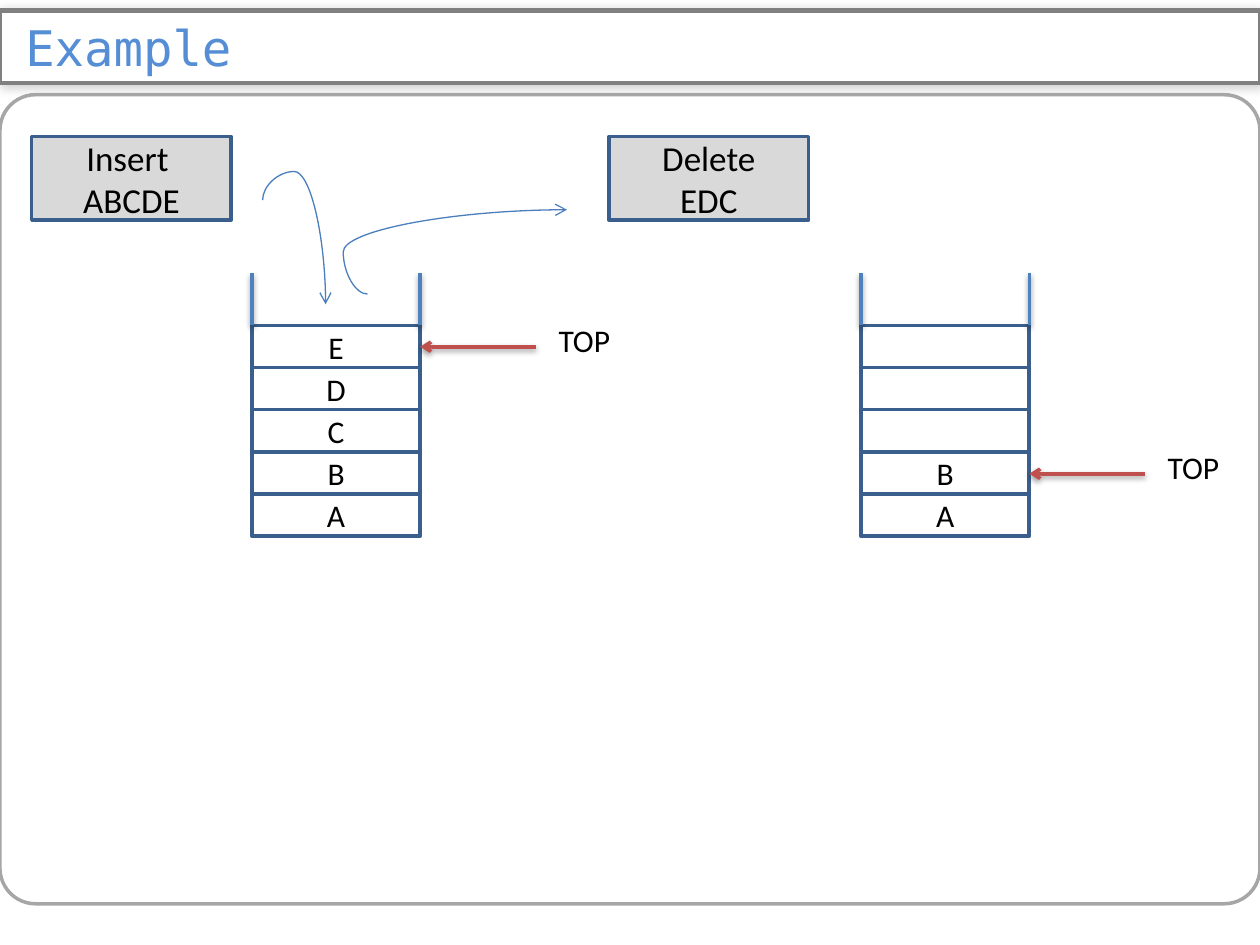
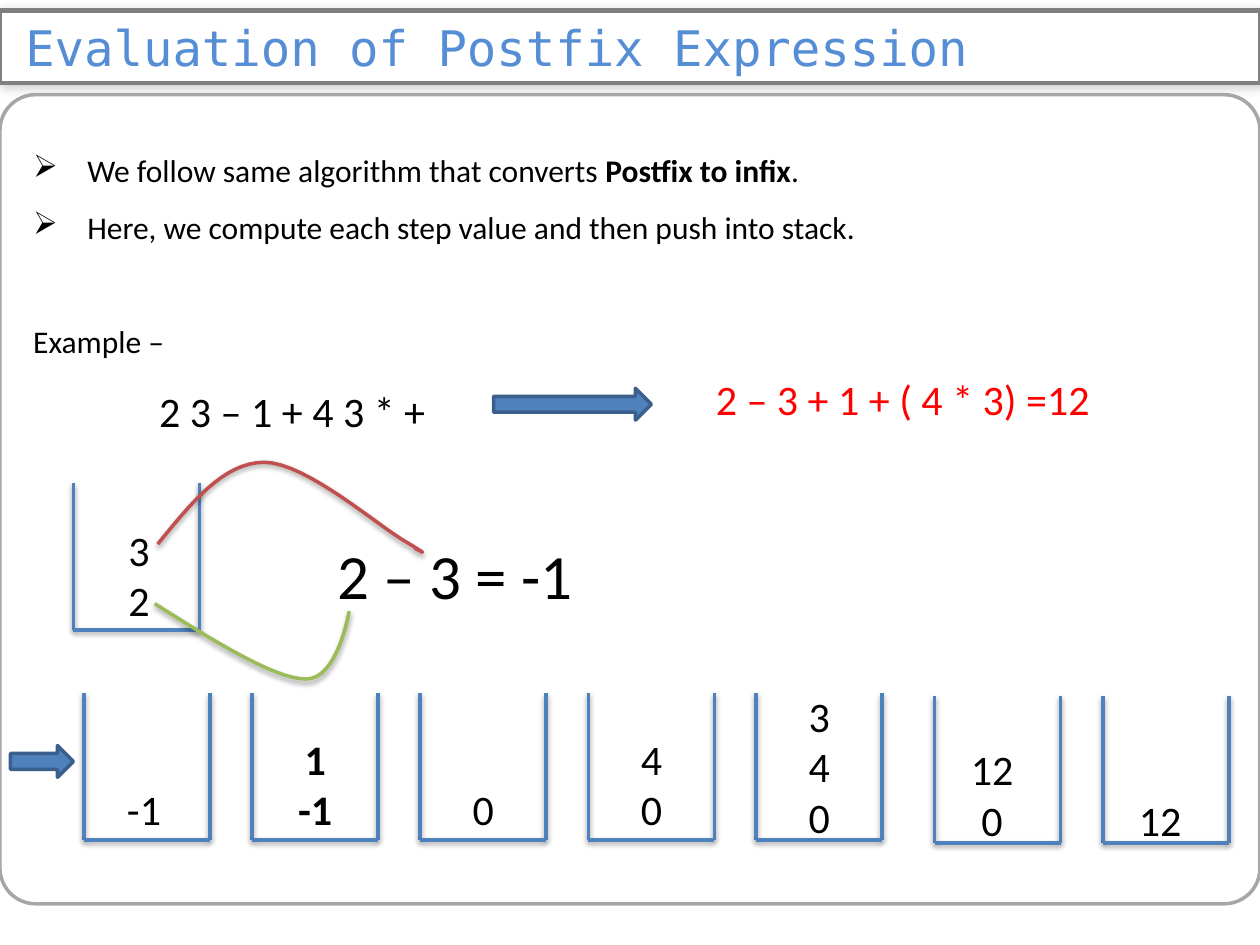
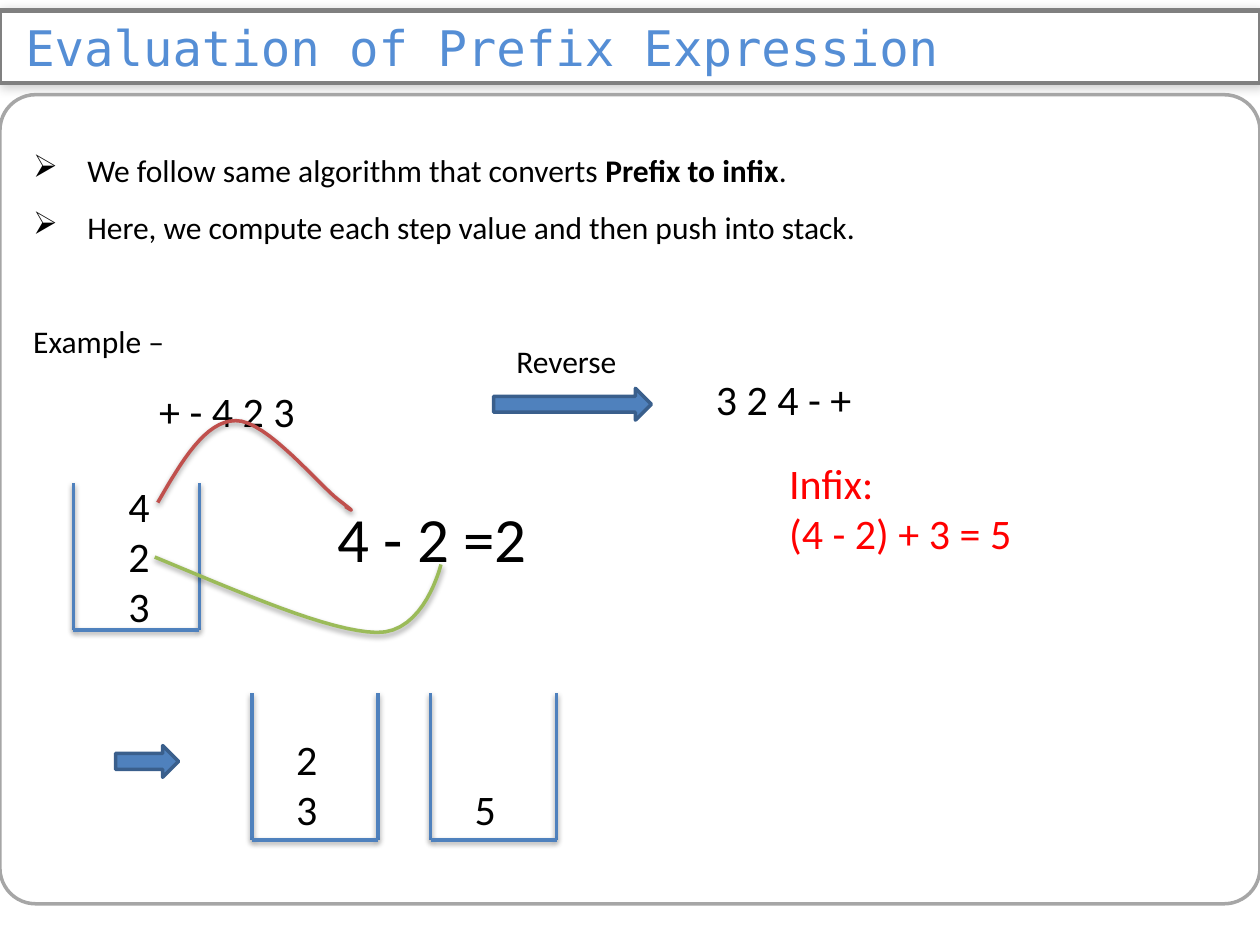
from lxml import etree
from pptx import Presentation
from pptx.dml.color import RGBColor
from pptx.enum import shapes, text
from pptx.oxml import parse_xml
from pptx.oxml.ns import nsdecls, qn
from pptx.util import Cm, Pt

# Shared look
BLACK, WHITE, RED_TEXT = "000000", "FFFFFF", "FF0000"
BLUE, DARK_BLUE, CURVE_BLUE = "4F81BD", "3A5F8C", "4B7EBC"
RED, GREEN, TITLE_BLUE = "C0504D", "9BBB59", "558ED5"
LIGHT_GREY, PANEL_GREY, BAND_GREY = "D9D9D9", "A6A6A6", "808080"
LINE_SHADOW = (38, 3.15, 1.57, 90)  # opacity %, blur pt, distance pt, angle
BAND_SHADOW = (20, 6, 1, 45)
LEFT, CENTER = text.PP_ALIGN.LEFT, text.PP_ALIGN.CENTER
TOP, MIDDLE, BOTTOM = text.MSO_ANCHOR.TOP, text.MSO_ANCHOR.MIDDLE, text.MSO_ANCHOR.BOTTOM
AUTO, CONNECTOR = shapes.MSO_SHAPE, shapes.MSO_CONNECTOR
rgb = RGBColor.from_string


def outline(item, colour, width=2, shadow=None, arrow=False):
    """Give a shape or connector its line, arrowhead and shadow."""
    item.line.color.rgb = rgb(colour)
    item.line.width = Pt(width)
    properties = item.element.spPr
    if arrow:
        etree.SubElement(properties.find(qn("a:ln")), qn("a:tailEnd"), type="arrow")
    effects = etree.SubElement(properties, qn("a:effectLst"))
    if shadow:
        opacity, blur, distance, angle = shadow
        outer = etree.SubElement(
            effects, qn("a:outerShdw"), blurRad=str(Pt(blur)), dist=str(Pt(distance)),
            dir=str(angle * 60000), algn="ctr", rotWithShape="0")
        black = etree.SubElement(outer, qn("a:srgbClr"), val=BLACK)
        etree.SubElement(black, qn("a:alpha"), val=str(opacity * 1000))


def write(slide, box, words, size, colour=BLACK, align=LEFT, anchor=TOP,
          bold=False, framed=False, fill=None):
    """Add a text box, or a framed rectangle, with one paragraph per line."""
    place = [Cm(length) for length in box]
    if framed:
        item = slide.shapes.add_shape(AUTO.RECTANGLE, *place)
        if fill:
            item.fill.solid()
            item.fill.fore_color.rgb = rgb(fill)
        else:
            item.fill.background()
        outline(item, DARK_BLUE)
    else:
        item = slide.shapes.add_textbox(*place)
    frame = item.text_frame
    frame.word_wrap = True
    frame.vertical_anchor = anchor
    frame.text = words
    for paragraph in frame.paragraphs:
        paragraph.alignment = align
        for run in paragraph.runs:
            run.font.name = "Calibri"
            run.font.size = Pt(size)
            run.font.bold = bold
            run.font.color.rgb = rgb(colour)
    return frame


prs = Presentation()
prs.slide_width, prs.slide_height = Cm(25.4), Cm(19.05)

# Title band and content panel on every slide
deck = []
for heading in ("Example", "Evaluation of Postfix Expression",
                "Evaluation of Prefix Expression"):
    slide = prs.slides.add_slide(prs.slide_layouts[5])
    deck.append(slide)
    band = slide.shapes.title
    band.left, band.top, band.width, band.height = Cm(0), Cm(0.21), Cm(25.4), Cm(1.47)
    band.element.spPr.append(parse_xml(
        f'<a:prstGeom {nsdecls("a")} prst="roundRect"><a:avLst>'
        '<a:gd name="adj" fmla="val 40900"/></a:avLst></a:prstGeom>'))
    band.fill.solid()
    band.fill.fore_color.rgb = rgb(WHITE)
    outline(band, BAND_GREY, 2.5, BAND_SHADOW)
    frame = band.text_frame
    frame.text = heading
    frame.auto_size = text.MSO_AUTO_SIZE.NONE
    frame.vertical_anchor = MIDDLE
    frame.margin_left, frame.margin_right = Cm(0.51), Cm(0.25)
    frame.margin_top = frame.margin_bottom = 0
    frame.paragraphs[0].alignment = LEFT
    font = frame.paragraphs[0].runs[0].font
    font.name, font.size = "DejaVu Sans Mono", Pt(28)
    font.color.rgb = rgb(TITLE_BLUE)

    panel = slide.shapes.add_shape(AUTO.ROUNDED_RECTANGLE, Cm(0), Cm(1.91), Cm(25.4), Cm(16.31))
    panel.adjustments[0] = 0.044
    panel.fill.background()
    outline(panel, PANEL_GREY)

# Slide 1: stack before and after deleting
example = deck[0]
for left, operation in ((0.64, "Insert \nABCDE"), (12.28, "Delete\nEDC")):
    write(example, (left, 2.75, 4.02, 1.69), operation, 20, align=CENTER,
          anchor=MIDDLE, framed=True, fill=LIGHT_GREY)

CELL_W, CELL_H, STACK_TOP = 3.39, 0.85, 6.56
for left, letters, pointer_y in ((5.08, "EDCBA", 6.99), (17.36, ["", "", "", "B", "A"], 9.55)):
    right = left + CELL_W
    for row, letter in enumerate(letters):
        write(example, (left, STACK_TOP + row * CELL_H, CELL_W, CELL_H), letter, 18,
              align=CENTER, anchor=MIDDLE, framed=True)
    for x in (left, right):
        wall = example.shapes.add_connector(
            CONNECTOR.STRAIGHT, Cm(x), Cm(STACK_TOP), Cm(x), Cm(5.5))
        outline(wall, BLUE, shadow=LINE_SHADOW)
    pointer = example.shapes.add_connector(
        CONNECTOR.STRAIGHT, Cm(right + 2.33), Cm(pointer_y), Cm(right), Cm(pointer_y))
    outline(pointer, RED, shadow=LINE_SHADOW, arrow=True)
    write(example, (right + 2.54, pointer_y - 0.64, 2.12, 1.02), "TOP", 18)

# Curved arrows into and out of the stack: ends, bend, rotation
for ends, bend, rotation in (((6.98, 4.45, 4.88, 5.72), -27500, 270),
                             ((7.41, 5.93, 11.43, 4.23), -12200, 0)):
    route = example.shapes.add_connector(CONNECTOR.CURVE, *[Cm(end) for end in ends])
    properties = route.element.spPr
    properties.find(qn("a:xfrm")).set("rot", str(rotation * 60000))
    adjust = properties.find(qn("a:prstGeom")).find(qn("a:avLst"))
    etree.SubElement(adjust, qn("a:gd"), name="adj1", fmla=f"val {bend}")
    outline(route, CURVE_BLUE, 0.75, arrow=True)

# Slides 2 and 3: content
# label: left, top, width, height, words, size, colour
# stack: left, top, text offset, text width, text bottom, align, bold, values
evaluations = [
    dict(
        notation="Postfix", expression="2 3 – 1 + 4 3 * +", step_arrow=0.21,
        labels=[
            (14.18, 7.41, 8.47, 1.17, "2 – 3 + 1 + ( 4 * 3) =12", 24, RED_TEXT),
            (6.56, 10.69, 11.43, 1.79, "2 – 3 = -1", 36, BLACK),
        ],
        stacks=[
            (1.48, 9.74, 0.86, 1.07, 12.73, LEFT, False, "3\n2"),
            (1.69, 13.97, 0.62, 1.27, 16.94, LEFT, False, "-1"),
            (5.08, 13.97, 0.64, 1.27, 16.94, CENTER, True, "1\n-1"),
            (8.47, 13.97, 0.64, 1.27, 16.94, CENTER, False, "0"),
            (11.86, 13.97, 0.64, 1.27, 16.94, CENTER, False, "4\n0"),
            (15.24, 13.97, 0.64, 1.27, 17.09, CENTER, False, "3\n4\n0"),
            (18.84, 14.03, 0.42, 1.48, 17.15, CENTER, False, "12\n0"),
            (22.23, 14.03, 0.42, 1.48, 17.15, CENTER, False, "12"),
        ],
        curves=[
            (RED, [(3.18, 10.97), (3.84, 10.16), (4.5, 9.32), (5.33, 9.32),
                   (6.17, 9.32), (7.67, 10.64), (8.18, 10.92),
                   (8.69, 11.23), (8.51, 11.13), (8.36, 11.05)]),
            (GREEN, [(3.12, 12.17), (4.32, 12.93), (5.51, 13.67), (6.15, 13.69),
                     (6.81, 13.72), (7.04, 12.32), (7.04, 12.32)]),
        ]),
    dict(
        notation="Prefix", expression="+ - 4 2 3", step_arrow=2.33,
        labels=[
            (14.18, 7.41, 8.47, 1.17, "3 2 4 - +", 24, BLACK),
            (6.56, 9.95, 11.43, 1.79, "4 - 2 =2", 36, BLACK),
            (10.16, 6.77, 2.54, 1.02, "Reverse", 18, BLACK),
            (15.66, 9.1, 8.47, 2.31, "Infix:\n(4 - 2) + 3 = 5", 24, RED_TEXT),
        ],
        stacks=[
            (1.48, 9.74, 0.86, 1.07, 12.85, LEFT, False, "4\n2\n3"),
            (5.08, 13.97, 0.64, 1.5, 16.94, LEFT, False, "2\n3"),
            (8.68, 13.97, 0.64, 1.5, 16.94, LEFT, False, "5"),
        ],
        curves=[
            (RED, [(3.18, 10.13), (3.66, 9.3), (4.14, 8.48), (4.75, 8.48),
                   (5.36, 8.46), (6.45, 9.8), (6.83, 10.08),
                   (7.19, 10.36), (7.09, 10.29), (6.96, 10.21)]),
            (GREEN, [(3.12, 11.23), (4.88, 11.96), (6.63, 12.73), (7.59, 12.75),
                     (8.56, 12.78), (8.89, 11.38), (8.89, 11.38)]),
        ]),
]

STACK_W, STACK_H, STEPS = 2.54, 2.96, 16
for slide, content in zip(deck[1:], evaluations):
    # Rules and the expression
    body = write(slide, (0.42, 2.54, 24.55, 7.95),
                 "We follow same algorithm that converts \n"
                 "Here, we compute each step value and then push into stack.\n"
                 f"Example –\n{content['expression']}", 18)
    first, second, intro, expression = body.paragraphs
    for words, bold in ((f"{content['notation']} to infix", True), (".", False)):
        run = first.add_run()
        run.text = words
        run.font.name, run.font.size, run.font.bold = "Calibri", Pt(18), bold
        run.font.color.rgb = rgb(BLACK)
    for rule in (first, second):
        layout = rule._p.get_or_add_pPr()
        layout.set("marL", str(Cm(1.09)))
        layout.set("indent", str(Cm(-1.09)))
        etree.SubElement(layout, qn("a:buChar"), char="➢")
    for paragraph in body.paragraphs:
        paragraph.line_spacing = 1.5
    intro.space_before = Pt(33)
    expression._p.get_or_add_pPr().set("marL", str(Cm(2.54)))
    expression.runs[0].font.size = Pt(24)

    # Labels
    for *box, words, size, colour in content["labels"]:
        write(slide, box, words, size, colour)

    # Open stacks with their values resting on the floor
    for left, top, offset, width, base, align, bold, values in content["stacks"]:
        right, floor = left + STACK_W, top + STACK_H
        for ends in ((left, top, left, floor), (right, top, right, floor),
                     (left, floor, right, floor)):
            side = slide.shapes.add_connector(CONNECTOR.STRAIGHT, *[Cm(end) for end in ends])
            outline(side, BLUE, shadow=LINE_SHADOW)
        height = 0.25 + 1.03 * len(values.split("\n"))
        write(slide, (left + offset, base - height, width, height), values, 24,
              align=align, anchor=BOTTOM, bold=bold)

    # Curves from operands to the computation, as chained cubic arcs
    for colour, points in content["curves"]:
        trace = []
        for start in range(0, len(points) - 1, 3):
            for step in range(1, STEPS + 1):
                t = step / STEPS
                weights = ((1 - t) ** 3, 3 * t * (1 - t) ** 2, 3 * t * t * (1 - t), t ** 3)
                arc = points[start:start + 4]
                trace.append([Cm(sum(w * point[axis] for w, point in zip(weights, arc)))
                              for axis in (0, 1)])
        builder = slide.shapes.build_freeform(Cm(points[0][0]), Cm(points[0][1]))
        builder.add_line_segments(trace, close=False)
        curve = builder.convert_to_shape()
        curve.fill.background()
        outline(curve, colour, shadow=LINE_SHADOW)

    # Block arrows
    for left, top, width in ((9.95, 7.83, 3.18), (content["step_arrow"], 15.03, 1.27)):
        arrow = slide.shapes.add_shape(AUTO.RIGHT_ARROW, Cm(left), Cm(top), Cm(width), Cm(0.64))
        arrow.fill.solid()
        arrow.fill.fore_color.rgb = rgb(BLUE)
        outline(arrow, DARK_BLUE)

prs.save("out.pptx")
